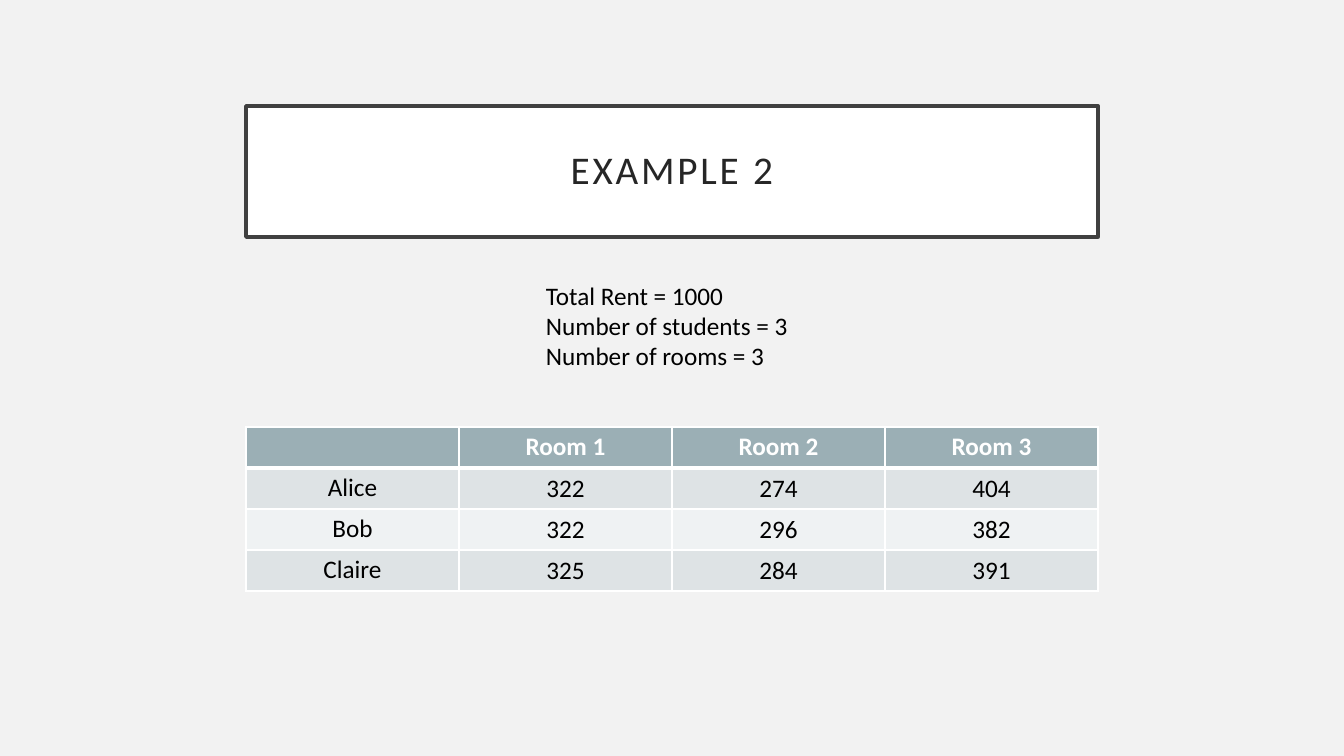
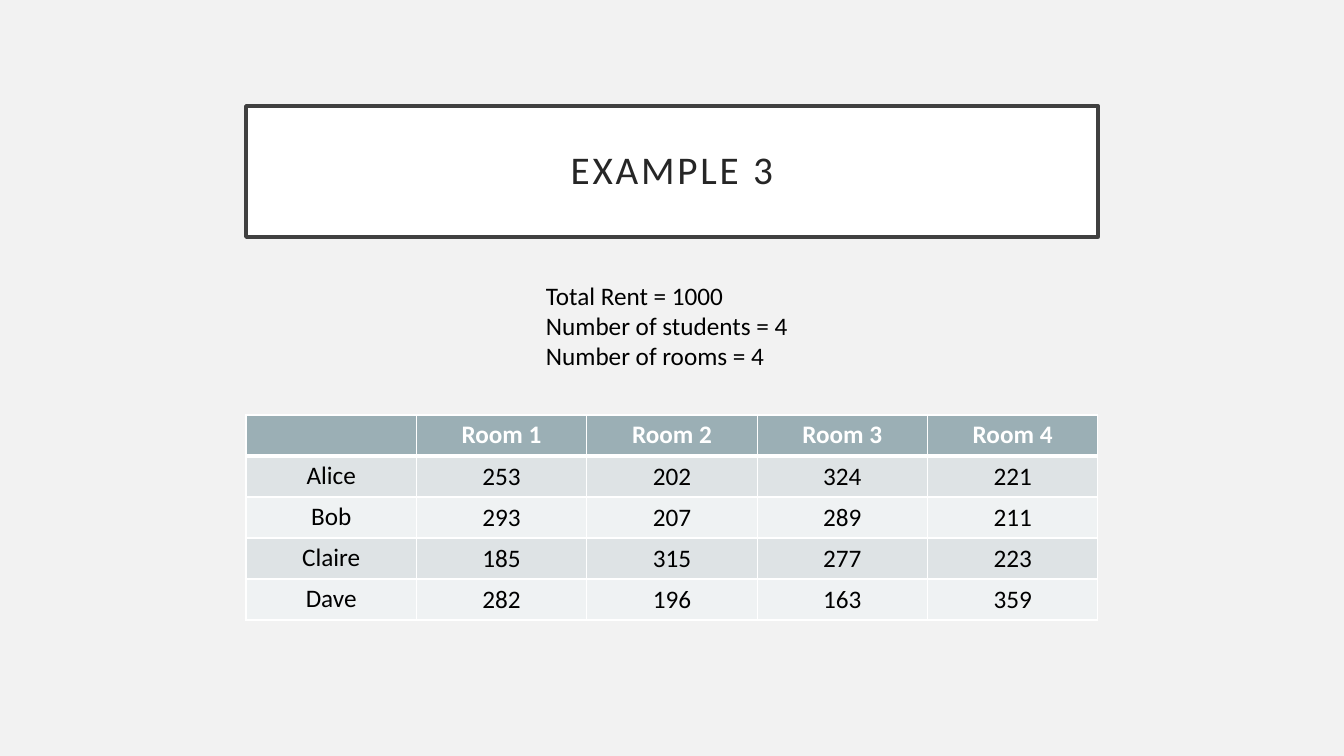
from lxml import etree
from pptx import Presentation
from pptx import util as u
from pptx.dml.color import RGBColor
from pptx.enum import text
from pptx.oxml import ns

EMU_PER_PIXEL = 914400 / 100.8
LEFT, WIDTH, ROW_HEIGHT = 246, 852, 41


def px(pixels):
    return u.Emu(round(pixels * EMU_PER_PIXEL))


def rgb(value):
    return RGBColor.from_string(value)


def write(frame, lines, size=18, color="000000", bold=False, align="LEFT",
          anchor="TOP", line_spacing=1.0, tracking=0, margins=(10, 5, 10, 5)):
    """Fill a text frame with one paragraph per line."""
    frame.word_wrap = True
    frame.auto_size = text.MSO_AUTO_SIZE.NONE
    frame.vertical_anchor = text.MSO_ANCHOR[anchor]
    sides = ("margin_left", "margin_top", "margin_right", "margin_bottom")
    for side, margin in zip(sides, margins):
        setattr(frame, side, px(margin))
    frame.text = "\n".join(lines)
    for paragraph in frame.paragraphs:
        paragraph.alignment = text.PP_ALIGN[align]
        paragraph.line_spacing = line_spacing
        for run in paragraph.runs:
            run.font.name = Deck.FONT
            run.font.size = u.Pt(size)
            run.font.bold = bold
            run.font.color.rgb = rgb(color)
            if tracking:
                run.font._element.set("spc", str(tracking * 100))


class Deck:
    FONT = "Calibri"
    BACKGROUND, WHITE = "F2F2F2", "FFFFFF"
    FRAME, TITLE = "404040", "262626"
    HEADER, BANDS = "9BAFB5", ("DEE3E5", "EFF2F3")

    def __init__(self):
        self.presentation = Presentation()
        self.presentation.slide_width = px(1344)
        self.presentation.slide_height = px(756)
        fill = self.presentation.slide_master.background.fill
        fill.solid()
        fill.fore_color.rgb = rgb(self.BACKGROUND)
        self.slide = None

    def add_slide(self, title):
        layout = self.presentation.slide_layouts.get_by_name("Title Only")
        self.slide = self.presentation.slides.add_slide(layout)
        shape = self.slide.shapes.title
        shape.left, shape.top, shape.width, shape.height = map(px, (LEFT, 106, WIDTH, 131))
        shape.fill.solid()
        shape.fill.fore_color.rgb = rgb(self.WHITE)
        shape.line.color.rgb = rgb(self.FRAME)
        shape.line.width = u.Pt(2.5)
        write(shape.text_frame, [title], size=28, color=self.TITLE, align="CENTER",
              anchor="MIDDLE", line_spacing=0.9, tracking=2, margins=(20,) * 4)

    def add_facts(self, lines):
        box = self.slide.shapes.add_textbox(*map(px, (536, 275, 270, 102)))
        write(box.text_frame, lines)

    def add_table(self, top, rows):
        columns = len(rows[0])
        table = self.slide.shapes.add_table(
            len(rows), columns, px(LEFT), px(top), px(WIDTH), px(ROW_HEIGHT * len(rows))).table
        for column in table.columns:
            column.width = px(WIDTH / columns)
        for r, values in enumerate(rows):
            table.rows[r].height = px(ROW_HEIGHT)
            for c, value in enumerate(values):
                self.format_cell(table.cell(r, c), str(value), r, c)

    def format_cell(self, cell, value, row, column):
        is_header = row == 0
        self.add_borders(cell, L=1, R=1, T=3 if row == 1 else 1, B=3 if is_header else 1)
        cell.fill.solid()
        cell.fill.fore_color.rgb = rgb(self.HEADER if is_header else self.BANDS[(row - 1) % 2])
        is_number = row > 0 and column > 0
        margins = (1, 1, 1, 0) if is_number else (10, 5, 10, 5)
        write(cell.text_frame, [value], color=self.WHITE if is_header else "000000",
              bold=is_header, align="CENTER")
        # Cells keep their own margins and anchor
        cell.margin_left, cell.margin_top, cell.margin_right, cell.margin_bottom = map(px, margins)
        cell.vertical_anchor = text.MSO_ANCHOR.MIDDLE if is_number else text.MSO_ANCHOR.TOP

    def add_borders(self, cell, **widths):
        properties = cell._tc.get_or_add_tcPr()
        for side, points in widths.items():
            line = etree.SubElement(properties, ns.qn("a:ln" + side), w=str(u.Pt(points)))
            fill = etree.SubElement(line, ns.qn("a:solidFill"))
            etree.SubElement(fill, ns.qn("a:srgbClr"), val=self.WHITE)


# Prices per student, one column per room
EXAMPLES = [
    (2, 427, {"Alice": (322, 274, 404), "Bob": (322, 296, 382), "Claire": (325, 284, 391)}),
    (3, 415, {"Alice": (253, 202, 324, 221), "Bob": (293, 207, 289, 211),
              "Claire": (185, 315, 277, 223), "Dave": (282, 196, 163, 359)}),
]

deck = Deck()
for number, table_top, prices in EXAMPLES:
    count = len(prices)
    deck.add_slide(f"EXAMPLE {number}")
    header = ["", *(f"Room {room}" for room in range(1, count + 1))]
    deck.add_table(table_top, [header, *([name, *row] for name, row in prices.items())])
    deck.add_facts(["Total Rent = 1000", f"Number of students = {count}",
                    f"Number of rooms = {count}"])
deck.presentation.save("out.pptx")
